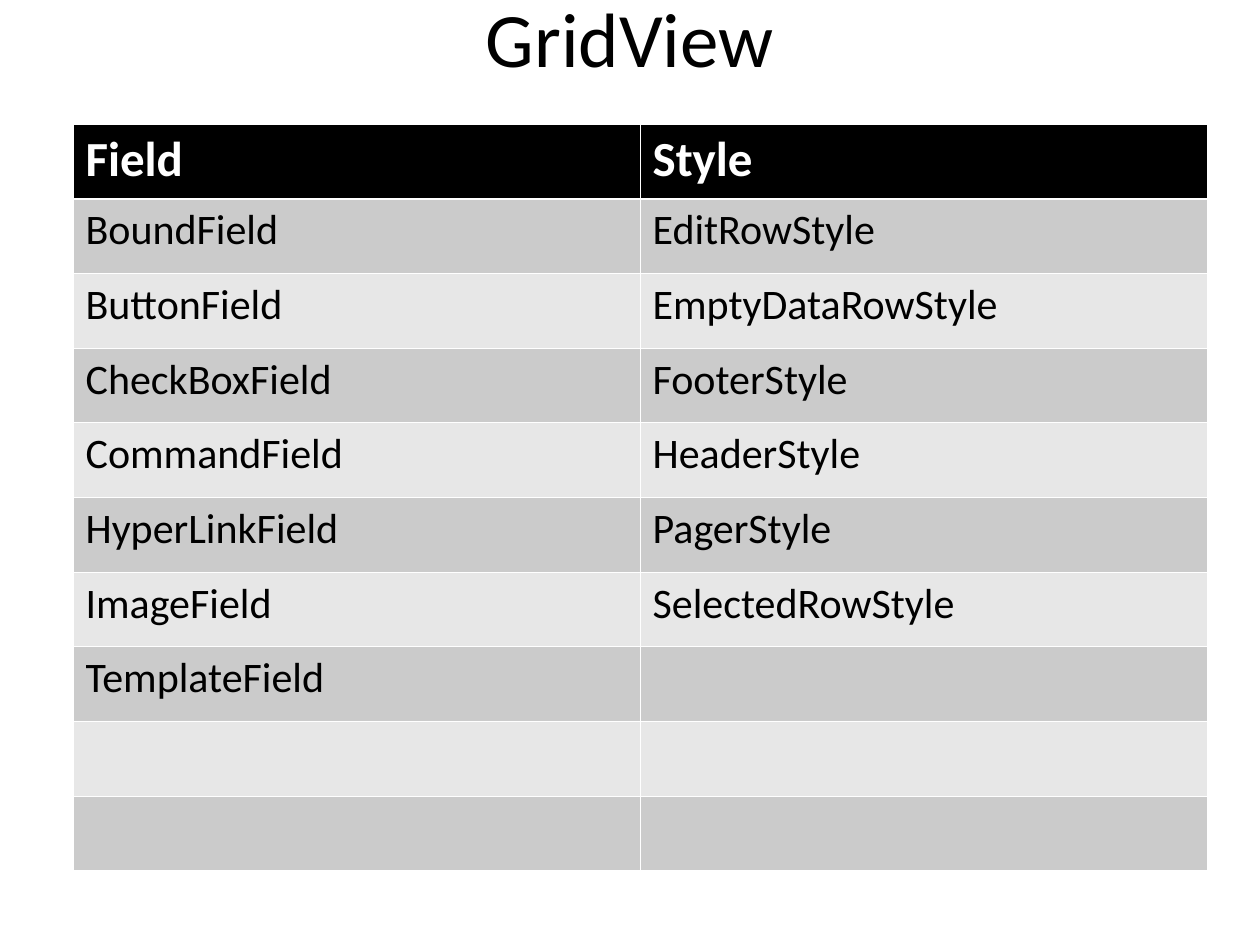
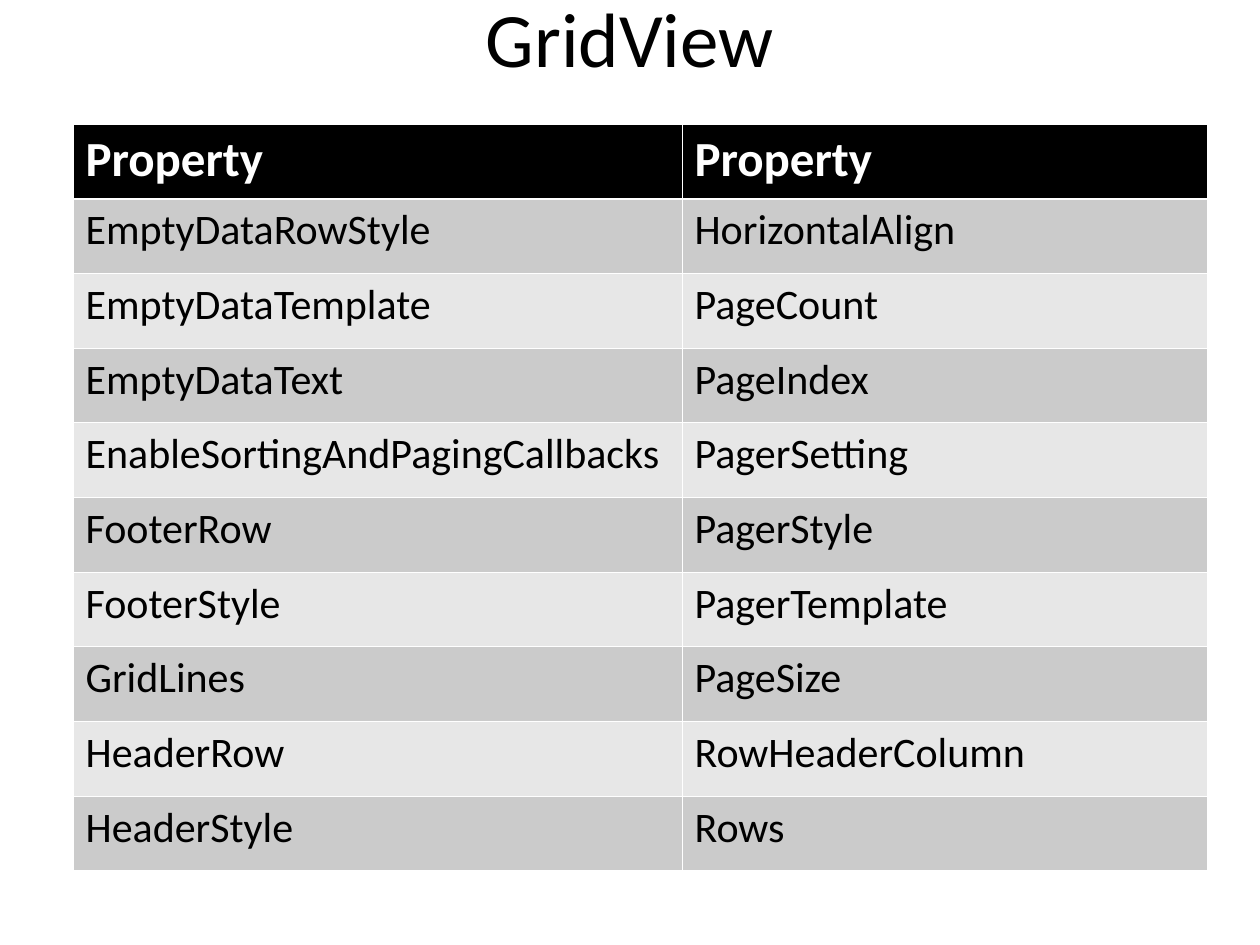
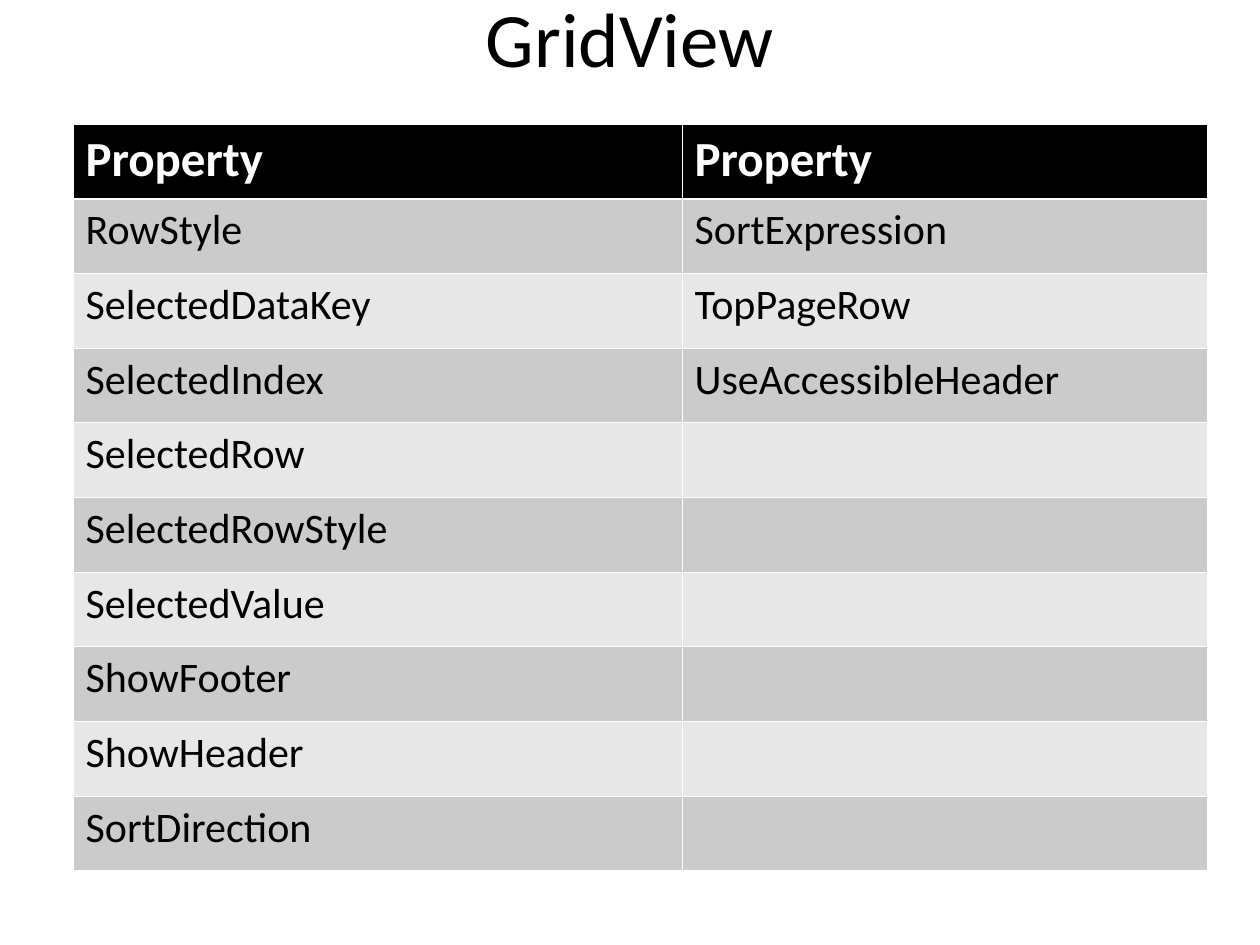
from dataclasses import dataclass
from itertools import zip_longest

from lxml import etree
from pptx import Presentation
from pptx.dml.color import RGBColor
from pptx.enum.text import MSO_ANCHOR, PP_ALIGN
from pptx.oxml.ns import qn
from pptx.util import Emu, Inches, Pt

CENTER = PP_ALIGN.CENTER
LEFT = PP_ALIGN.LEFT
MIDDLE = MSO_ANCHOR.MIDDLE

TITLE = "GridView"
SLIDES = [
    {
        "widths": (567, 567),
        "columns": {
            "left": ["Field", "BoundField", "ButtonField", "CheckBoxField", "CommandField",
                     "HyperLinkField", "ImageField", "TemplateField"],
            "right": ["Style", "EditRowStyle", "EmptyDataRowStyle", "FooterStyle",
                      "HeaderStyle", "PagerStyle", "SelectedRowStyle"],
        },
    },
    {
        "widths": (609, 525),
        "columns": {
            "left": ["Property", "EmptyDataRowStyle", "EmptyDataTemplate", "EmptyDataText",
                     "EnableSortingAndPagingCallbacks", "FooterRow", "FooterStyle",
                     "GridLines", "HeaderRow", "HeaderStyle"],
            "right": ["Property", "HorizontalAlign", "PageCount", "PageIndex", "PagerSetting",
                      "PagerStyle", "PagerTemplate", "PageSize", "RowHeaderColumn", "Rows"],
        },
    },
    {
        "widths": (609, 525),
        "columns": {
            "left": ["Property", "RowStyle", "SelectedDataKey", "SelectedIndex", "SelectedRow",
                     "SelectedRowStyle", "SelectedValue", "ShowFooter", "ShowHeader",
                     "SortDirection"],
            "right": ["Property", "SortExpression", "TopPageRow", "UseAccessibleHeader"],
        },
    },
]

PX_PER_INCH = 126
SLIDE_SIZE = (1260, 945)
TITLE_BOX = (63, -42, 1134, 158)
TABLE_LEFT, TABLE_TOP, TABLE_HEIGHT = 73, 124, 747
ROW_COUNT = 10


@dataclass(frozen=True)
class Theme:
    font: str = "Calibri"
    title_size: int = 44
    header_size: int = 28
    body_size: int = 24
    text: str = "000000"
    header_text: str = "FFFFFF"
    header_fill: str = "000000"
    bands: tuple = ("CBCBCB", "E7E7E7")
    border: str = "FFFFFF"
    thin_border: float = 0.45
    thick_border: float = 1.47


THEME = Theme()


def px(length):
    return Emu(round(length * Inches(1) / PX_PER_INCH))


def format_text(text_frame, size, color, bold=False, alignment=LEFT):
    for paragraph in text_frame.paragraphs:
        paragraph.alignment = alignment
        for run in paragraph.runs:
            run.font.name = THEME.font
            run.font.size = Pt(size)
            run.font.bold = bold
            run.font.color.rgb = RGBColor.from_string(color)


def add_title(slide):
    shape = slide.shapes.add_textbox(*map(px, TITLE_BOX))
    text_frame = shape.text_frame
    text_frame.word_wrap = True
    text_frame.vertical_anchor = MIDDLE
    text_frame.text = TITLE
    format_text(text_frame, THEME.title_size, THEME.text, alignment=CENTER)


def add_borders(cell, top, bottom):
    properties = cell._tc.get_or_add_tcPr()
    widths = {"lnL": THEME.thin_border, "lnR": THEME.thin_border, "lnT": top, "lnB": bottom}
    for side, width in widths.items():
        line = etree.SubElement(properties, qn(f"a:{side}"), w=str(Pt(width)))
        fill = etree.SubElement(line, qn("a:solidFill"))
        etree.SubElement(fill, qn("a:srgbClr"), val=THEME.border)


def style_cell(cell, row_index):
    thin, thick = THEME.thin_border, THEME.thick_border
    if row_index == 0:
        add_borders(cell, thin, thick)
        fill = THEME.header_fill
        format_text(cell.text_frame, THEME.header_size, THEME.header_text, bold=True)
    else:
        add_borders(cell, thick if row_index == 1 else thin, thin)
        fill = THEME.bands[(row_index - 1) % len(THEME.bands)]
        format_text(cell.text_frame, THEME.body_size, THEME.text)
    cell.fill.solid()
    cell.fill.fore_color.rgb = RGBColor.from_string(fill)


def add_member_table(slide, widths, columns):
    frame = slide.shapes.add_table(
        ROW_COUNT, len(widths), px(TABLE_LEFT), px(TABLE_TOP), px(sum(widths)), px(TABLE_HEIGHT)
    )
    table = frame.table
    for column, width in zip(table.columns, widths):
        column.width = px(width)
    names = list(zip_longest(*columns.values(), fillvalue=""))
    for row_index, row in enumerate(table.rows):
        row.height = px(TABLE_HEIGHT / ROW_COUNT)
        for column_index, cell in enumerate(row.cells):
            if row_index < len(names):
                cell.text_frame.text = names[row_index][column_index]
            style_cell(cell, row_index)


def main():
    presentation = Presentation()
    presentation.slide_width, presentation.slide_height = map(px, SLIDE_SIZE)
    blank_layout = presentation.slide_layouts[6]
    for content in SLIDES:
        slide = presentation.slides.add_slide(blank_layout)
        add_title(slide)
        add_member_table(slide, **content)
    presentation.save("out.pptx")


if __name__ == "__main__":
    main()
